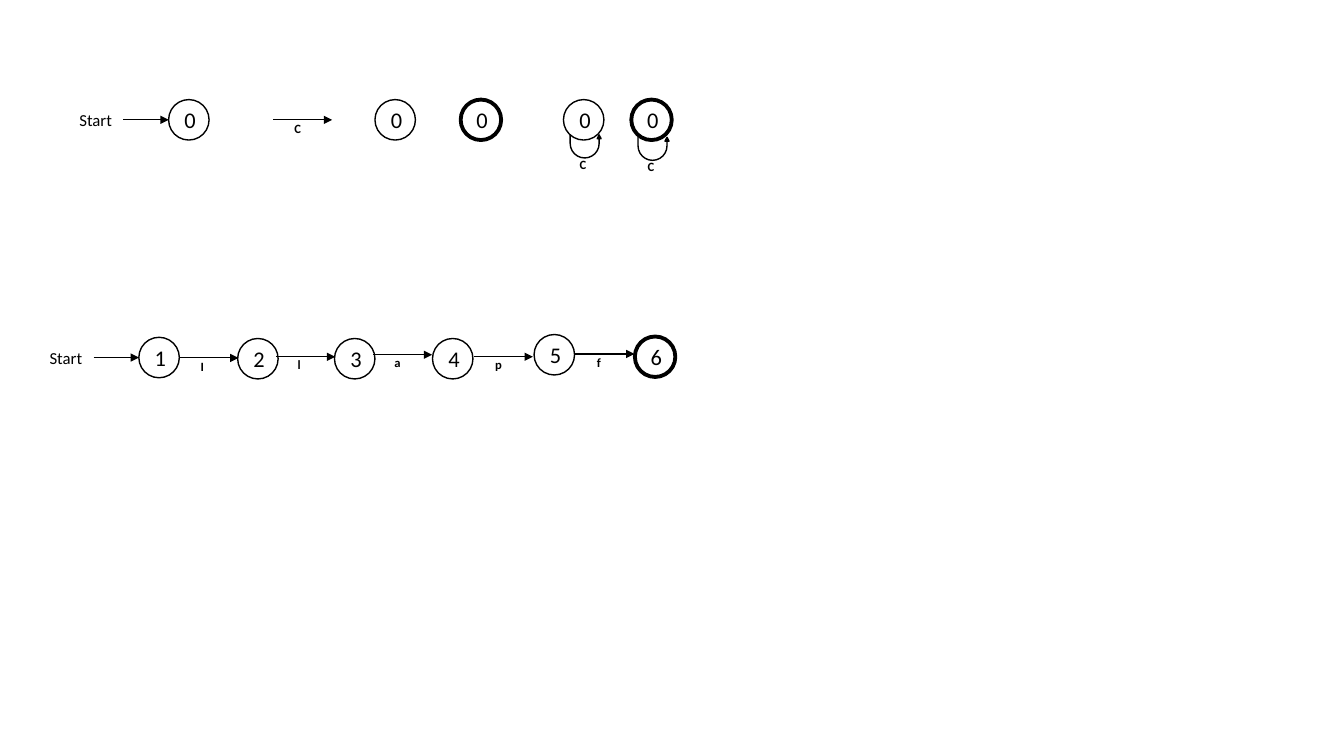
from dataclasses import dataclass

from lxml.etree import SubElement
from pptx import Presentation
from pptx.dml.color import RGBColor
from pptx.enum.shapes import MSO_CONNECTOR, MSO_SHAPE
from pptx.enum.text import MSO_ANCHOR, MSO_AUTO_SIZE, PP_ALIGN
from pptx.oxml.ns import qn
from pptx.util import Cm, Pt


@dataclass(frozen=True)
class Theme:
    font: str = "Calibri"
    ink: RGBColor = RGBColor(0, 0, 0)
    start_size: float = 12
    state_size: float = 16
    symbol_size: float = 9
    arrow_line: float = 0.75
    state_line: float = 1
    final_line: float = 2.75


class AutomatonSlide:
    """Draws the parts of a state diagram; all lengths are in centimetres."""

    DIAMETER = 1.02
    EDGE_LENGTH = 1.49

    def __init__(self, slide, theme):
        self.slide = slide
        self.theme = theme

    def new_group(self):
        return self.slide.shapes.add_group_shape().shapes

    def style_text(self, paragraph, size, bold=None):
        paragraph.font.name = self.theme.font
        paragraph.font.size = Pt(size)
        paragraph.font.bold = bold
        paragraph.font.color.rgb = self.theme.ink

    def style_line(self, line, width):
        line.color.rgb = self.theme.ink
        line.width = Pt(width)

    def label(self, parts, text, x, y, width, height, size, bold=None):
        box = parts.add_textbox(Cm(x), Cm(y), Cm(width), Cm(height))
        frame = box.text_frame
        frame.text = text
        frame.word_wrap = False
        frame.auto_size = MSO_AUTO_SIZE.SHAPE_TO_FIT_TEXT
        self.style_text(frame.paragraphs[0], size, bold)

    def symbol(self, parts, text, x, y):
        self.label(parts, text, x, y, 0.41, 0.64, self.theme.symbol_size, True)

    def arrow(self, parts, x, y, length):
        connector = parts.add_connector(
            MSO_CONNECTOR.STRAIGHT, Cm(x), Cm(y), Cm(x + length), Cm(y))
        self.style_line(connector.line, self.theme.arrow_line)
        SubElement(connector.line._get_or_add_ln(), qn("a:tailEnd"), type="triangle")
        SubElement(connector._element.spPr, qn("a:effectLst"))

    def state(self, name, x, y, final=False, parts=None):
        parts = self.slide.shapes if parts is None else parts
        circle = parts.add_shape(
            MSO_SHAPE.OVAL, Cm(x), Cm(y), Cm(self.DIAMETER), Cm(self.DIAMETER))
        circle.shadow.inherit = False
        circle.fill.background()
        self.style_line(
            circle.line, self.theme.final_line if final else self.theme.state_line)
        frame = circle.text_frame
        frame.text = name
        frame.vertical_anchor = MSO_ANCHOR.MIDDLE
        frame.paragraphs[0].alignment = PP_ALIGN.CENTER
        self.style_text(frame.paragraphs[0], self.theme.state_size)

    def start_state(self, name, x, y):
        parts = self.new_group()
        middle = y + self.DIAMETER / 2
        self.label(parts, "Start", x, middle - 0.38, 1.35, 0.77, self.theme.start_size)
        self.arrow(parts, x + 1.36, middle, 1.14)
        self.state(name, x + 2.5, y, parts=parts)

    def edge(self, text, x, y):
        parts = self.new_group()
        self.arrow(parts, x, y, self.EDGE_LENGTH)
        self.symbol(parts, text, x + 0.38, y - 0.11)

    def looped_state(self, name, text, x, y, drop=0, final=False):
        parts = self.new_group()
        self.state(name, x, y, final, parts)
        loop = parts.add_shape(
            MSO_SHAPE.U_TURN_ARROW, Cm(x + 0.17), Cm(y + 0.89 + drop), Cm(0.78), Cm(0.58))
        for index, value in enumerate((0, 0.085, 0.164, 0.717, 1)):
            loop.adjustments[index] = value
        loop.rotation = 180
        loop._element.spPr.find(qn("a:xfrm")).set("flipH", "1")
        loop.shadow.inherit = False
        loop.fill.solid()
        loop.fill.fore_color.rgb = self.theme.ink
        self.style_line(loop.line, self.theme.state_line)
        self.symbol(parts, text, x + 0.25, y + 1.32 + drop)


def main():
    deck = Presentation()
    deck.slide_width, deck.slide_height = Cm(33.87), Cm(19.05)
    diagram = AutomatonSlide(deck.slides.add_slide(deck.slide_layouts[6]), Theme())

    # Building blocks of the notation
    blocks_top = 2.51
    diagram.start_state("0", 1.75, blocks_top)
    diagram.state("0", 9.45, blocks_top)
    diagram.edge("C", 6.88, 3.02)
    diagram.state("0", 11.61, blocks_top, final=True)
    diagram.looped_state("0", "C", 14.2, blocks_top)
    diagram.looped_state("0", "C", 15.91, blocks_top, drop=0.06, final=True)

    # Example automaton: each edge leads to the state beside it
    diagram.start_state("1", 1, 8.5)
    steps = [
        ("I", 4.52, 9.02, "2", 5.99, 8.53),
        ("l", 6.96, 8.99, "3", 8.43, 8.53),
        ("a", 9.4, 8.94, "4", 10.9, 8.53),
        ("p", 11.94, 8.99, "5", 13.46, 8.43),
        ("f", 14.5, 8.92, "6", 16, 8.48),
    ]
    for symbol, edge_x, edge_y, state, state_x, state_y in steps:
        diagram.edge(symbol, edge_x, edge_y)
        diagram.state(state, state_x, state_y, final=state == "6")

    deck.save("out.pptx")


if __name__ == "__main__":
    main()
